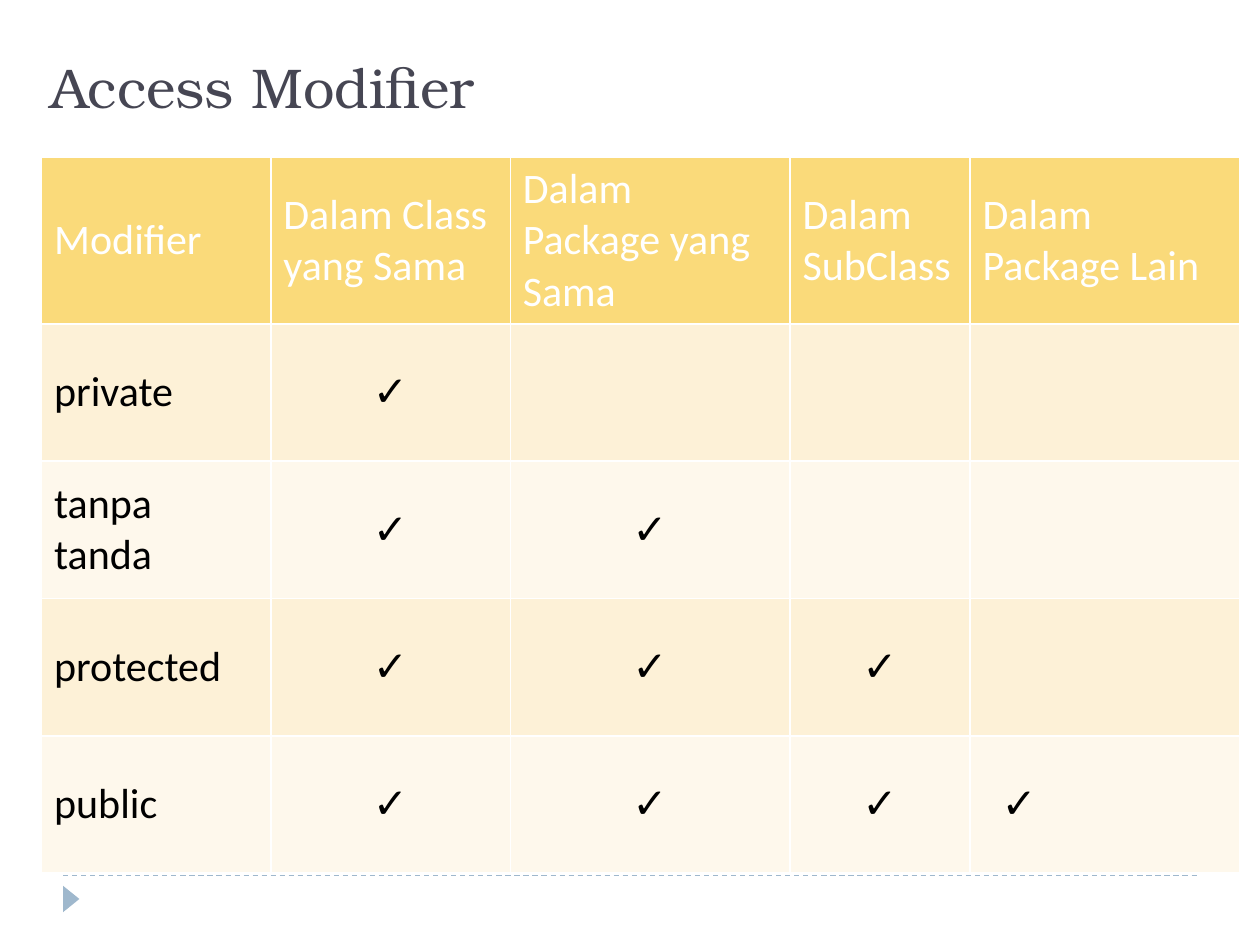
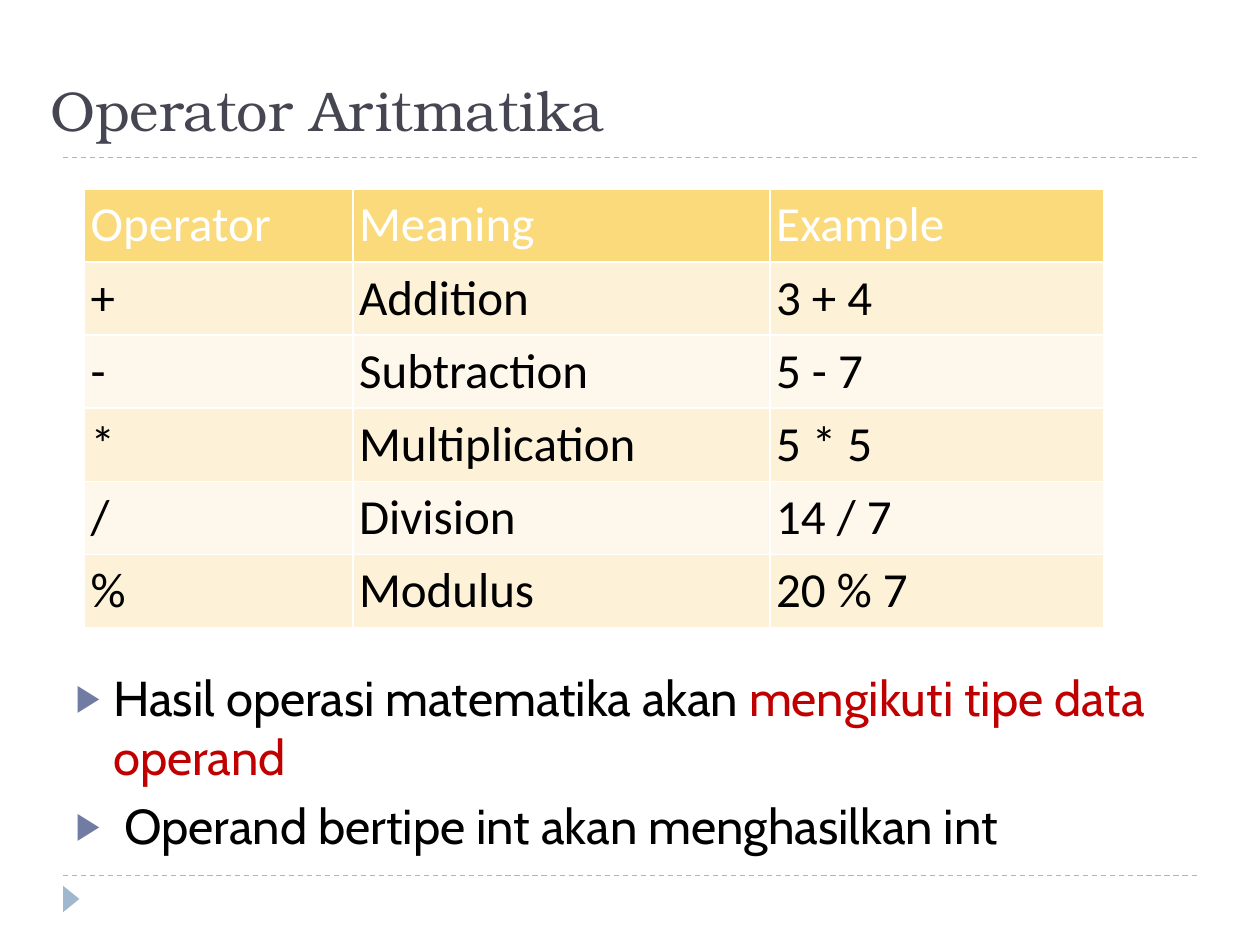
"""Builds two slides on access modifiers and arithmetic operators."""
from lxml import etree
from pptx import Presentation
from pptx import util as u
from pptx.dml.color import RGBColor
from pptx.enum import dml, shapes, text
from pptx.oxml import ns

CHECK = "✓"


def colour(value):
    """Turn a hex string into a colour."""
    return RGBColor.from_string(value)


def child(parent, tag, **attributes):
    """Append a drawing element to a parent."""
    return etree.SubElement(parent, ns.qn(tag), attributes)


def write(paragraph, wording, font="Calibri", size=24, ink="000000",
          align=text.PP_ALIGN.LEFT, indent=0):
    """Add a formatted run to a paragraph."""
    run = paragraph.add_run()
    run.text = wording
    run.font.name = font
    run.font.size = u.Pt(size)
    run.font.bold = False
    run.font.color.rgb = colour(ink)
    paragraph.alignment = align
    if indent:
        paragraph._p.get_or_add_pPr().set("marL", str(u.Inches(indent)))


class Deck:
    """Hold the shared style and the current slide."""

    ACCENT = "9FB8CD"
    TITLE_INK = "464653"
    BULLET = "727CA3"
    WHITE = "FFFFFF"
    HEADER = "FADA7A"
    BANDS = ("FDF1D7", "FEF8EC")
    TITLE_FONT = "TeX Gyre Bonum"
    BODY_FONT = "Cabin"

    def __init__(self):
        """Start a 4:3 presentation."""
        self.presentation = Presentation()
        self.presentation.slide_width = u.Inches(10)
        self.presentation.slide_height = u.Inches(7.5)

    def start(self, heading, title_top, layout):
        """Open a slide with its rules, footer marker and title."""
        self.slide = self.presentation.slides.add_slide(
            self.presentation.slide_layouts[layout])
        for height in (6.95, 1.25):
            self.rule(height)
        self.marker()
        title = self.slide.shapes.title
        self.place(title, 0.3, title_top, 9.36, 0.71)
        title.text_frame.vertical_anchor = text.MSO_ANCHOR.BOTTOM
        write(title.text_frame.paragraphs[0], heading, font=self.TITLE_FONT,
              size=32, ink=self.TITLE_INK)

    def place(self, holder, left, top, width, height):
        """Move a placeholder and stop it from resizing its text."""
        holder.left, holder.top = u.Inches(left), u.Inches(top)
        holder.width, holder.height = u.Inches(width), u.Inches(height)
        holder.text_frame.word_wrap = True
        holder.text_frame.auto_size = text.MSO_AUTO_SIZE.NONE

    def rule(self, height):
        """Draw a dashed rule across the slide."""
        rule = self.slide.shapes.add_connector(
            shapes.MSO_CONNECTOR.STRAIGHT, u.Inches(0.5), u.Inches(height),
            u.Inches(9.5), u.Inches(height))
        rule.line.color.rgb = colour(self.ACCENT)
        rule.line.width = u.Pt(0.75)
        rule.line.dash_style = dml.MSO_LINE.DASH
        child(rule._element.spPr, "a:effectLst")

    def marker(self):
        """Draw the footer triangle."""
        marker = self.slide.shapes.add_shape(
            shapes.MSO_SHAPE.ISOSCELES_TRIANGLE, u.Inches(0.46),
            u.Inches(7.07), u.Inches(0.21), u.Inches(0.13))
        marker.rotation = 90
        marker.shadow.inherit = False
        marker.fill.solid()
        marker.fill.fore_color.rgb = colour(self.ACCENT)
        marker.line.fill.background()

    def paint(self, cell, fill):
        """Give a cell white borders and a fill."""
        properties = cell._tc.get_or_add_tcPr()
        for side in ("a:lnL", "a:lnR", "a:lnT", "a:lnB"):
            border = child(properties, side, w=str(u.Pt(1)))
            child(child(border, "a:solidFill"), "a:srgbClr", val=self.WHITE)
        cell.fill.solid()
        cell.fill.fore_color.rgb = colour(fill)

    def table(self, left, top, widths, heights, rows, size=24, inset=None,
              anchor=text.MSO_ANCHOR.TOP):
        """Add a banded table and return it."""
        grid = self.slide.shapes.add_table(
            len(rows), len(widths), u.Inches(left), u.Inches(top),
            u.Inches(sum(widths)), u.Inches(sum(heights))).table
        grid.horz_banding = False
        for column, width in zip(grid.columns, widths):
            column.width = u.Inches(width)
        for index, (row, height, entries) in enumerate(
                zip(grid.rows, heights, rows)):
            row.height = u.Inches(height)
            fill = self.BANDS[(index - 1) % 2] if index else self.HEADER
            for cell, entry in zip(row.cells, entries):
                self.paint(cell, fill)
                cell.vertical_anchor = anchor
                if inset is not None:
                    cell.margin_left = cell.margin_right = u.Inches(inset)
                    cell.margin_top = cell.margin_bottom = u.Inches(inset)
                if entry:
                    write(cell.text_frame.paragraphs[0], entry, size=size,
                          ink="000000" if index else self.WHITE,
                          align=text.PP_ALIGN.CENTER if entry == CHECK
                          else text.PP_ALIGN.LEFT)
        return grid

    def bullets(self, left, top, width, height, items):
        """Fill the body placeholder with arrow bullets."""
        body = self.slide.placeholders[1]
        self.place(body, left, top, width, height)
        frame = body.text_frame
        for index, parts in enumerate(items):
            item = frame.add_paragraph() if index else frame.paragraphs[0]
            item.space_before = u.Pt(6)
            for wording, ink in parts:
                write(item, wording, font=self.BODY_FONT, size=28, ink=ink,
                      indent=0.3)
            properties = item._p.get_or_add_pPr()
            properties.set("indent", str(u.Inches(-0.3)))
            child(child(properties, "a:buClr"), "a:srgbClr", val=self.BULLET)
            child(properties, "a:buSzPct", val="76000")
            child(properties, "a:buChar", char="▶")


def access_modifiers(deck):
    """Build the slide on where each modifier grants access."""
    deck.start("Access Modifier", 0.29, layout=5)
    scopes = ["Dalam Class yang Sama", "Dalam Package yang Sama",
              "Dalam SubClass", "Dalam Package Lain"]
    modifiers = ["private", "tanpa tanda", "protected", "public"]
    rows = [["Modifier"] + scopes]
    for reach, modifier in enumerate(modifiers, 1):
        rows.append([modifier] + [CHECK] * reach
                    + [""] * (len(scopes) - reach))
    access = deck.table(0.33, 1.25, [1.82, 1.9, 2.22, 1.43, 2.14],
                        [1.32] + [1.09] * 4, rows,
                        anchor=text.MSO_ANCHOR.MIDDLE)
    other_package = access.cell(4, 4)
    other_package.margin_left = u.Inches(0.25)
    other_package.text_frame.paragraphs[0].alignment = text.PP_ALIGN.LEFT


def arithmetic_operators(deck):
    """Build the slide on arithmetic operators."""
    deck.start("Operator Aritmatika", 0.47, layout=1)
    deck.bullets(0.5, 5.25, 9, 1.49, [
        [("Hasil operasi matematika akan ", "000000"),
         ("mengikuti tipe data operand", "C00000")],
        [(" Operand bertipe int akan menghasilkan int", "000000")],
    ])
    operators = [
        ["Operator", "Meaning", "Example"],
        ["+", "Addition", "3 + 4"],
        ["-", "Subtraction", "5 - 7"],
        ["*", "Multiplication", "5 * 5"],
        ["/", "Division", "14 / 7"],
        ["%", "Modulus", "20 % 7"],
    ]
    deck.table(0.67, 1.5, [2.13, 3.31, 2.65], [0.58] * len(operators),
               operators, size=28, inset=0.05)


def main():
    """Build and save the slides."""
    deck = Deck()
    access_modifiers(deck)
    arithmetic_operators(deck)
    deck.presentation.save("out.pptx")


if __name__ == "__main__":
    main()
